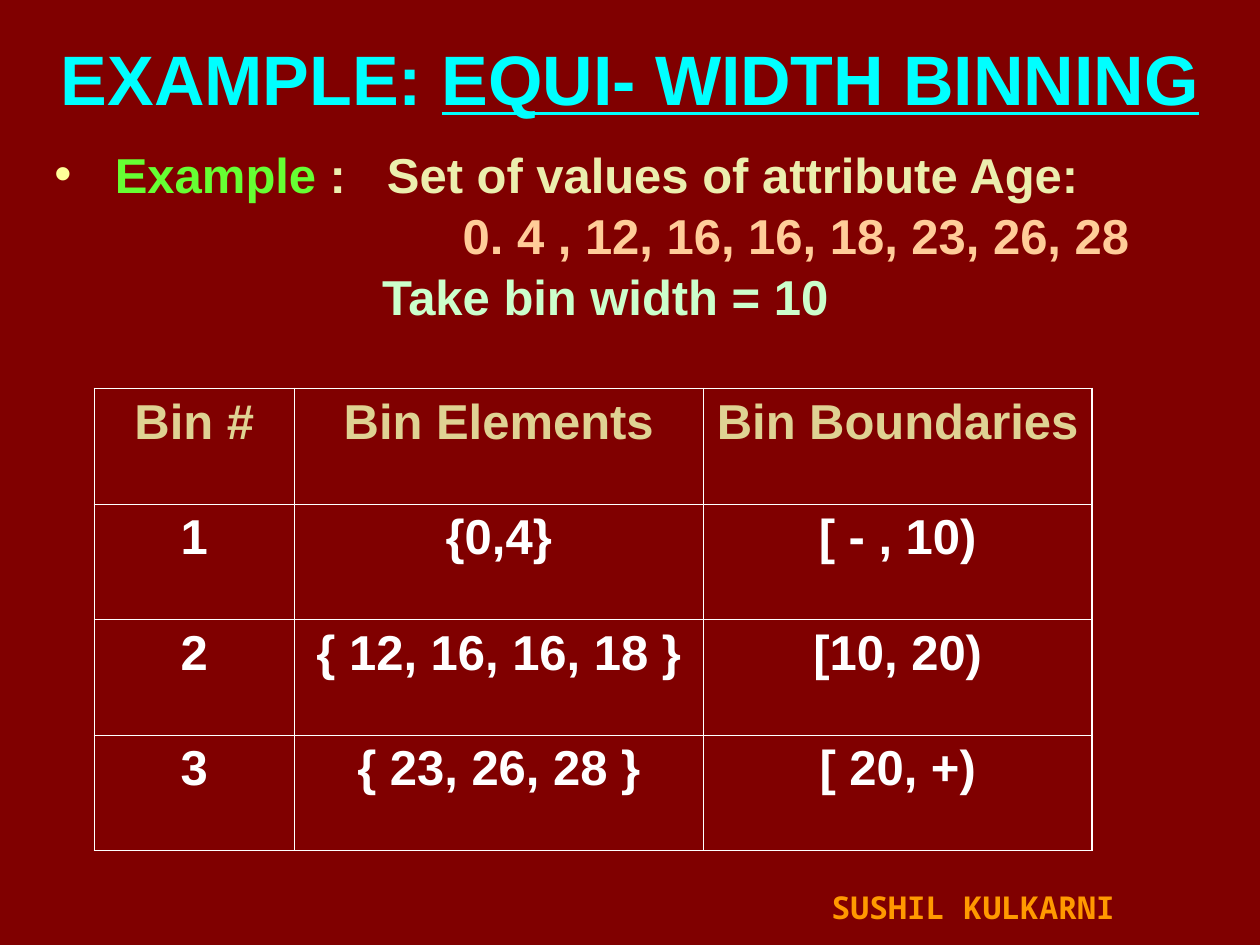
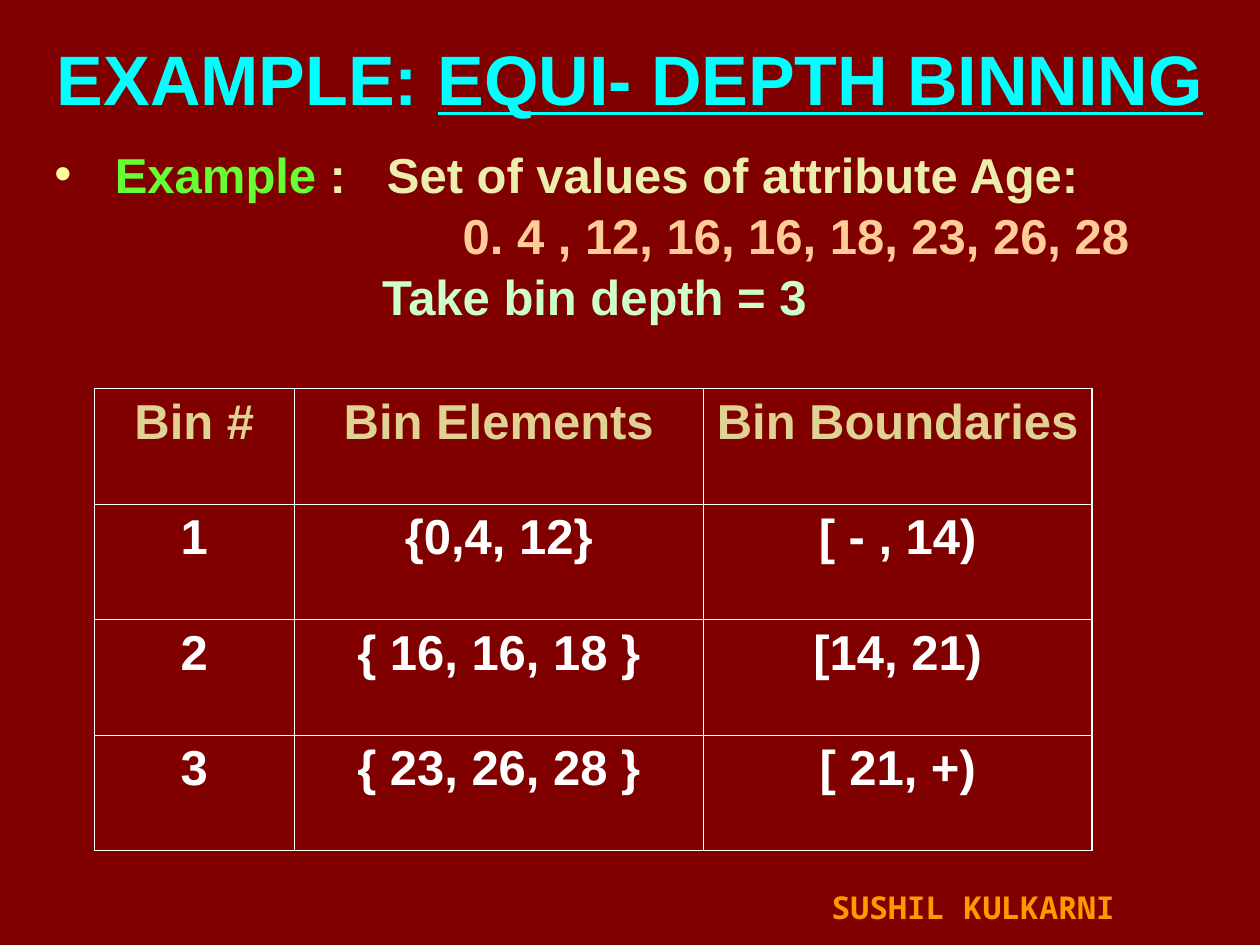
from lxml.etree import SubElement as Sub
from pptx import Presentation
from pptx.dml.color import RGBColor as Rgb
from pptx.enum.text import MSO_ANCHOR as Anchor, PP_ALIGN as Align
from pptx.oxml.ns import qn
from pptx.util import Inches, Pt

HUES = {
    "back": "800000", "title": "00FFFF", "foot": "FF9900", "dot": "FFFF99",
    "text": "ECEEAE", "key": "66FF33", "data": "FFCC99", "take": "CCFFCC",
    "head": "DFD293", "cell": "FFFFFF", "line": "FFFFFF",
}

deck = Presentation()
deck.slide_width, deck.slide_height = Inches(10), Inches(7.5)
UNIT = deck.slide_width // 120  # square grid, 120 columns by 90 rows


def write(para, text, size=28, hue="text", font="Arial", under=False,
          align=None, before=0, lead=None, track=0):
    """Add one run to a paragraph and format both."""
    if align is not None:
        para.alignment = align
    if before:
        para.space_before = Pt(before)
    if lead:
        para.line_spacing = lead
    run = para.add_run()
    run.text = text
    face = run.font
    face.size, face.name, face.bold = Pt(size), font, True
    face.underline = under
    face.color.rgb = Rgb.from_string(HUES[hue])
    if track:
        run._r.get_or_add_rPr().set("spc", str(int(track * 100)))


def frame(slide, left, top, wide, high):
    """Add a text box placed in grid units."""
    box = slide.shapes.add_textbox(*(int(n * UNIT) for n in (left, top, wide, high)))
    box.text_frame.word_wrap = True
    return box.text_frame


HEADS = ("Bin #", "Bin Elements", "Bin Boundaries")
COLS = (19, 39, 37)
ROW = 11
PAGES = [
    ("EQUI- WIDTH BINNING", "Take bin width = 10",
     [("1", "{0,4}", "[ - , 10)"),
      ("2", "{ 12, 16, 16, 18 }", "[10, 20)"),
      ("3", "{ 23, 26, 28 }", "[ 20, +)")]),
    ("EQUI- DEPTH BINNING", "Take bin depth = 3",
     [("1", "{0,4, 12}", "[ - , 14)"),
      ("2", "{ 16, 16, 18 }", "[14, 21)"),
      ("3", "{ 23, 26, 28 }", "[ 21, +)")]),
]

for name, take, bins in PAGES:
    slide = deck.slides.add_slide(deck.slide_layouts[6])
    fill = slide.background.fill
    fill.solid()
    fill.fore_color.rgb = Rgb.from_string(HUES["back"])

    # Title
    title = frame(slide, 2, 2, 116, 10)
    title.vertical_anchor = Anchor.BOTTOM
    para = title.paragraphs[0]
    write(para, "EXAMPLE: ", size=40, hue="title", align=Align.CENTER)
    write(para, name, size=40, hue="title", under=True)

    # Bulleted example
    body = frame(slide, 4, 14.25, 112, 18)
    para = body.paragraphs[0]
    props = para._p.get_or_add_pPr()
    props.set("marL", str(Inches(0.48)))
    props.set("indent", str(-Inches(0.48)))
    tint = Sub(props, qn("a:buClr"))
    Sub(tint, qn("a:srgbClr"), val=HUES["dot"])
    Sub(props, qn("a:buFont"), typeface="Arial")
    Sub(props, qn("a:buChar"), char="•")
    write(para, "Example", hue="key", lead=0.8)
    write(para, " :")
    write(para, " ", track=15.6)
    write(para, "Set of values of attribute Age:")

    # Indented lines below it
    for text, hue, inset in (("0. 4 , 12, 16, 16, 18, 23, 26, 28", "data", 3.24),
                             (take, "take", 2.6)):
        para = body.add_paragraph()
        para._p.get_or_add_pPr().set("marL", str(Inches(inset)))
        write(para, text, hue=hue, lead=0.8, before=8)

    # Table of bins
    rows = [HEADS, *bins]
    table = slide.shapes.add_table(
        len(rows), len(COLS), 9 * UNIT, 37 * UNIT,
        sum(COLS) * UNIT, len(rows) * ROW * UNIT).table
    table.first_row = table.horz_banding = False
    for col, wide in zip(table.columns, COLS):
        col.width = wide * UNIT
    for r, row in enumerate(rows):
        table.rows[r].height = ROW * UNIT
        for c, text in enumerate(row):
            cell = table.cell(r, c)
            write(cell.text_frame.paragraphs[0], text, align=Align.CENTER,
                  hue="cell" if r else "head")
            # Thick rules outside, thin ones inside
            props = cell._tc.get_or_add_tcPr()
            edges = {"L": c == 0, "R": c == len(COLS) - 1,
                     "T": r == 0, "B": r == len(rows) - 1}
            for side, outer in edges.items():
                rule = Sub(props, qn(f"a:ln{side}"), w=str(Pt(1.08 if outer else 0.45)))
                Sub(Sub(rule, qn("a:solidFill")), qn("a:srgbClr"), val=HUES["line"])
            cell.fill.background()

    # Footer
    foot = frame(slide, 78, 84, 31, 4.8)
    write(foot.paragraphs[0], "SUSHIL KULKARNI", size=18, hue="foot",
          font="Noto Sans Mono")

deck.save("out.pptx")
